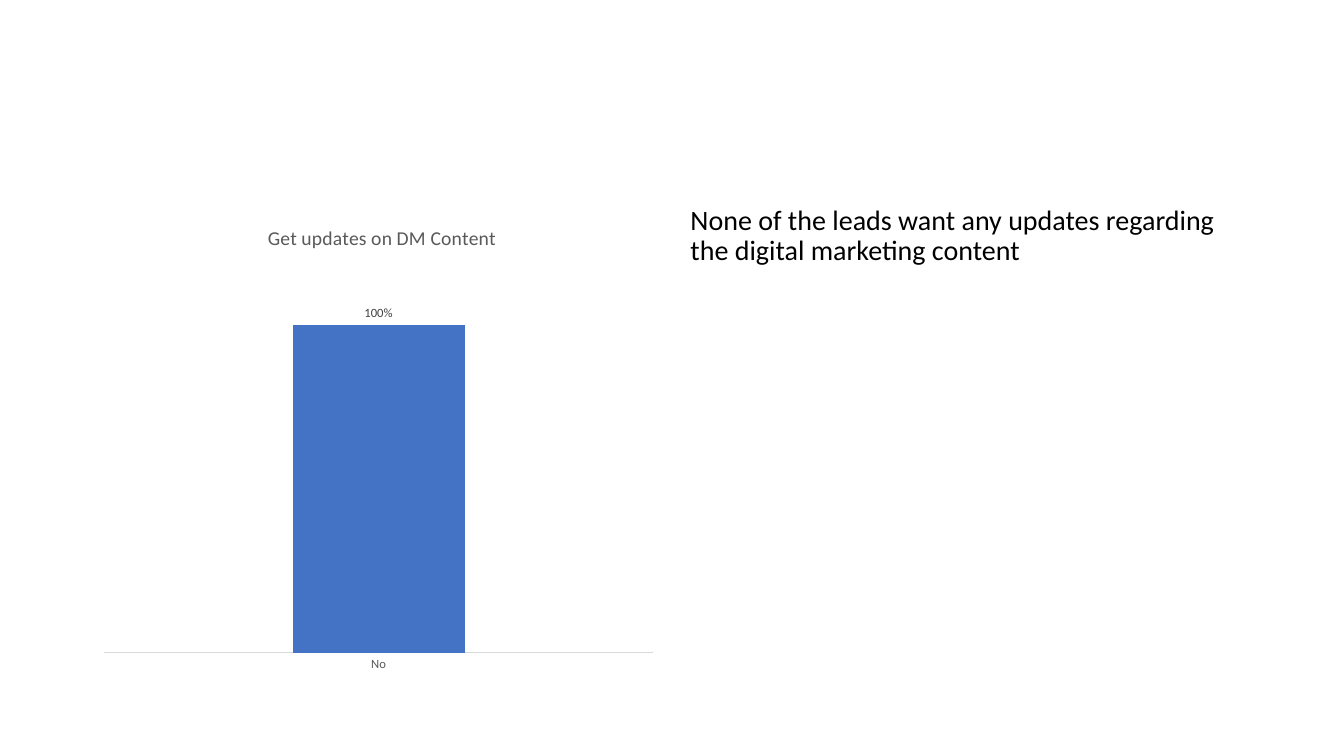
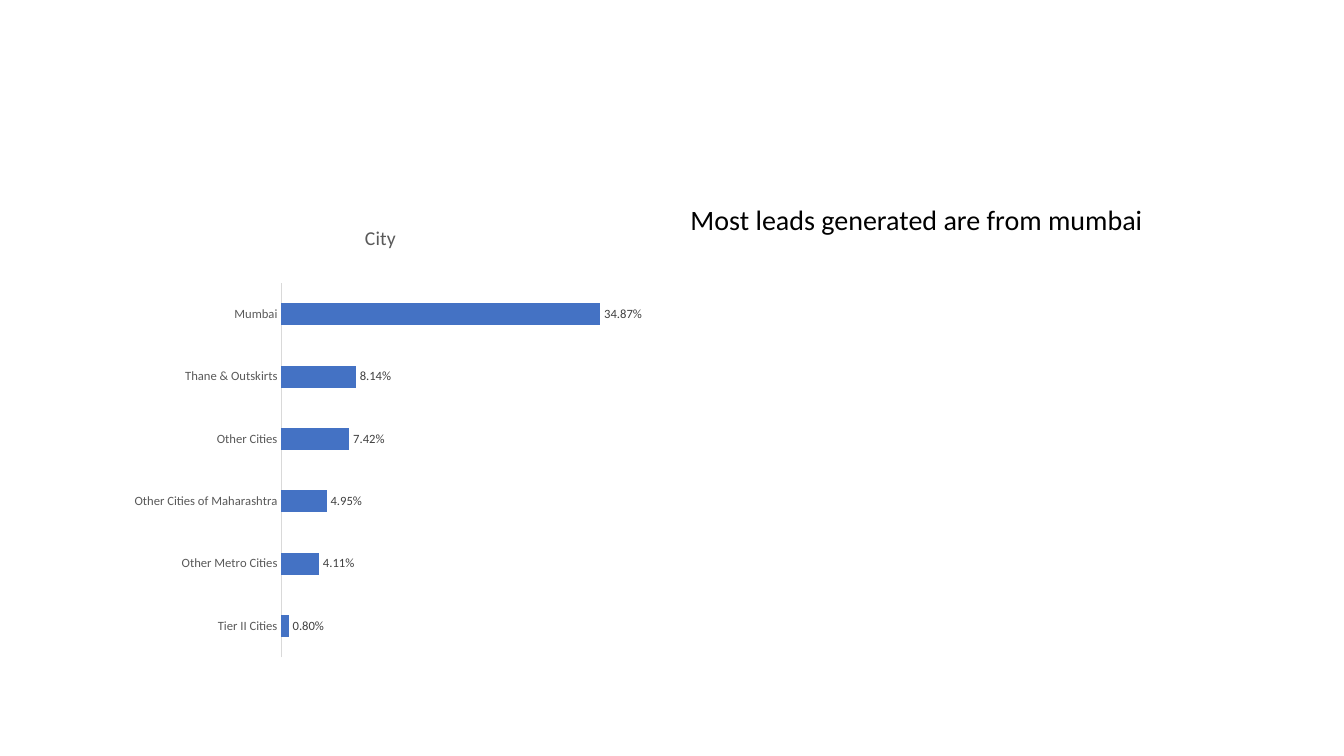
from pptx import Presentation
from pptx import util as u
from pptx.chart.data import CategoryChartData
from pptx.dml.color import RGBColor
from pptx.enum import chart as ch
from pptx.oxml import parse_xml
from pptx.oxml.ns import nsdecls

# Shared style
FACE = "Calibri"
INK, GREY, DARK = "000000", "595959", "404040"
BLUE, RULE = "4472C4", "D9D9D9"
TOP, WIDE, HIGH = 2, 5.67, 4.76
LEFT, RIGHT = 0.92, 6.75


def color(code):
    return RGBColor.from_string(code)


def layout(inner=False, **spots):
    """Build a manual chart layout from fractions of the chart area."""
    tags = '<c:layoutTarget val="inner"/>' if inner else ""
    tags += "".join(f'<c:{key}Mode val="edge"/>' for key in "xy")
    tags += "".join(f'<c:{key} val="{val}"/>' for key, val in spots.items())
    return parse_xml(f'<c:layout {nsdecls("c")}><c:manualLayout>{tags}'
                     "</c:manualLayout></c:layout>")


class Deck:
    def __init__(self):
        self.prs = Presentation()
        self.prs.slide_width = u.Inches(13.33)
        self.prs.slide_height = u.Inches(7.5)
        self.page = None

    def slide(self):
        self.page = self.prs.slides.add_slide(self.prs.slide_layouts[6])

    def font(self, font, size, code):
        font.name, font.size, font.bold = FACE, u.Pt(size), False
        font.color.rgb = color(code)

    def note(self, words):
        box = self.page.shapes.add_textbox(
            u.Inches(RIGHT), u.Inches(TOP), u.Inches(WIDE), u.Inches(HIGH))
        box.text_frame.word_wrap = True
        para = box.text_frame.paragraphs[0]
        para.line_spacing = 0.9
        run = para.add_run()
        run.text = words
        self.font(run.font, 20, INK)

    def chart(self, kind, title, start, rows, form, top, gap, lap, plot):
        data = CategoryChartData(number_format=form)
        data.categories = [name for name, _ in rows]
        data.add_series("Series 1", [val for _, val in rows])
        chart = self.page.shapes.add_chart(
            kind, u.Inches(LEFT), u.Inches(TOP), u.Inches(WIDE),
            u.Inches(HIGH), data).chart
        self.font(chart.font, 10, INK)
        chart.has_legend = False

        # Title
        chart.has_title = True
        run = chart.chart_title.text_frame.paragraphs[0].add_run()
        run.text = title
        self.font(run.font, 14, GREY)
        chart.chart_title.include_in_layout = False
        head = chart.chart_title.element
        for old in head.findall(head.tx.tag.replace("}tx", "}layout")):
            head.remove(old)
        head.tx.addnext(layout(x=start, y=0.04))

        # Axes
        cat, val = chart.category_axis, chart.value_axis
        cat.major_tick_mark = cat.minor_tick_mark = ch.XL_TICK_MARK.NONE
        cat.has_major_gridlines = val.has_major_gridlines = False
        self.font(cat.tick_labels.font, 9, GREY)
        cat.format.line.color.rgb = color(RULE)
        cat.format.line.width = u.Pt(0.75)
        val.minimum_scale, val.maximum_scale = 0, top
        val.visible = False

        # Bars and their labels
        bars = chart.plots[0]
        bars.gap_width, bars.overlap = gap, lap
        bars.vary_by_categories = False
        fill = bars.series[0].format.fill
        fill.solid()
        fill.fore_color.rgb = color(BLUE)
        bars.has_data_labels = True
        tags = bars.data_labels
        tags.show_value = True
        tags.position = ch.XL_LABEL_POSITION.OUTSIDE_END
        tags.number_format, tags.number_format_is_linked = form, False
        self.font(tags.font, 9, DARK)

        # Plot area
        area = chart.element.chart.plotArea
        for old in area.findall(area.tag.replace("plotArea", "layout")):
            area.remove(old)
        area.insert(0, layout(True, **dict(zip("xywh", plot))))


def main():
    deck = Deck()

    # Content updates
    deck.slide()
    deck.note("None of the leads want any updates regarding "
              "the digital marketing content")
    deck.chart(ch.XL_CHART_TYPE.COLUMN_CLUSTERED, "Get updates on DM Content",
               0.3, [("No", 1)], "0%", 1.2, 219, -27,
               (0.02, 0.12, 0.96, 0.82))

    # Cities
    deck.slide()
    deck.note("Most leads generated are from mumbai")
    cities = [("Tier II Cities", 0.008), ("Other Metro Cities", 0.0411),
              ("Other Cities of Maharashtra", 0.0495),
              ("Other Cities", 0.0742), ("Thane & Outskirts", 0.0814),
              ("Mumbai", 0.3487)]
    deck.chart(ch.XL_CHART_TYPE.BAR_CLUSTERED, "City", 0.47, cities,
               "0.00%", 0.4, 182, 0, (0.33, 0.17, 0.64, 0.78))

    deck.prs.save("out.pptx")


if __name__ == "__main__":
    main()
